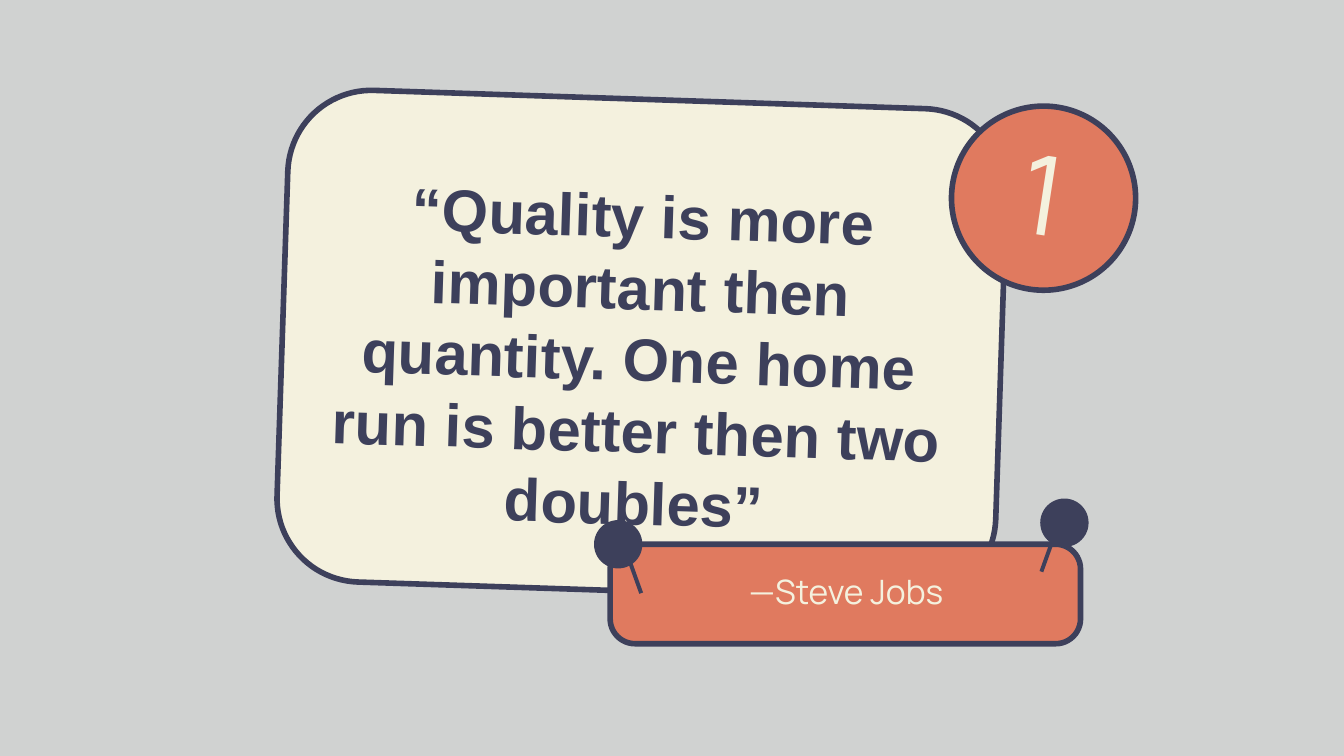
from pptx import Presentation
from pptx.dml.color import RGBColor
from pptx.enum.shapes import MSO_SHAPE
from pptx.enum.text import MSO_ANCHOR, PP_ALIGN
from pptx.util import Inches, Pt

ROUND, RECT, OVAL = MSO_SHAPE.ROUNDED_RECTANGLE, MSO_SHAPE.RECTANGLE, MSO_SHAPE.OVAL
TOP, MIDDLE = MSO_ANCHOR.TOP, MSO_ANCHOR.MIDDLE
CENTER = PP_ALIGN.CENTER

GRAY = RGBColor(0xD0, 0xD2, 0xD1)
CREAM = RGBColor(0xF4, 0xF1, 0xDE)
NAVY = RGBColor(0x3D, 0x40, 0x5B)
CORAL = RGBColor(0xE0, 0x7A, 0x5F)

QUOTE = "“Quality is more important then quantity. One home run is better then two doubles”"
AUTHOR = "—Steve Jobs"
NUMBER = "1"

CARD_TILT, BADGE_TILT = 1.9, 8.7
PINS = [(7.74, 3.71, 19.8), (4.42, 3.87, -19.8)]
PIN_HEAD, NEEDLE_W, NEEDLE_H = 0.36, 0.03, 0.54

prs = Presentation()
prs.slide_width = Inches(10)
prs.slide_height = prs.slide_width * 9 // 16
s = prs.slides.add_slide(prs.slide_layouts[6])
s.background.fill.solid()
s.background.fill.fore_color.rgb = GRAY


def add_shape(kind, box, fill, outlined=False, tilt=0, corner=None):
    sp = s.shapes.add_shape(kind, *map(Inches, box))
    sp.shadow.inherit = False
    sp.rotation = tilt
    sp.fill.solid()
    sp.fill.fore_color.rgb = fill
    if outlined:
        sp.line.color.rgb = NAVY
        sp.line.width = Pt(3)
    else:
        sp.line.fill.background()
    if corner is not None:
        sp.adjustments[0] = corner


def add_text(text, box, size, font, color, bold=False, anchor=MIDDLE, tilt=0):
    sp = s.shapes.add_textbox(*map(Inches, box))
    sp.rotation = tilt
    tf = sp.text_frame
    tf.word_wrap = True
    tf.vertical_anchor = anchor
    tf.margin_left = tf.margin_top = tf.margin_right = tf.margin_bottom = 0
    p = tf.paragraphs[0]
    p.alignment = CENTER
    r = p.add_run()
    r.text = text
    r.font.size = Pt(size)
    r.font.name = font
    r.font.bold = bold
    r.font.color.rgb = color


add_shape(ROUND, (2.1, 0.74, 5.35, 3.66), CREAM, True, CARD_TILT, 0.17)
add_shape(ROUND, (4.54, 4.05, 3.5, 0.74), CORAL, True, corner=0.25)

for x, y, tilt in PINS:
    side = -1 if tilt > 0 else 1
    needle_x = x + (PIN_HEAD - NEEDLE_W) / 2 + side * 0.08
    add_shape(RECT, (needle_x, y + 0.02, NEEDLE_W, NEEDLE_H), NAVY, tilt=tilt)
    add_shape(OVAL, (x, y, PIN_HEAD, PIN_HEAD), NAVY)

add_text(QUOTE, (2.38, 1.33, 4.75, 2.46), 32, "Arial", NAVY, True, TOP, CARD_TILT)
add_text(AUTHOR, (4.6, 4.2, 3.39, 0.4), 18, "Manrope", CREAM)
add_shape(OVAL, (7.08, 0.79, 1.37, 1.37), CORAL, True, BADGE_TILT)
add_text(NUMBER, (7.03, 0.96, 1.47, 0.92), 59, "Manrope", CREAM, tilt=BADGE_TILT)

prs.save("out.pptx")
